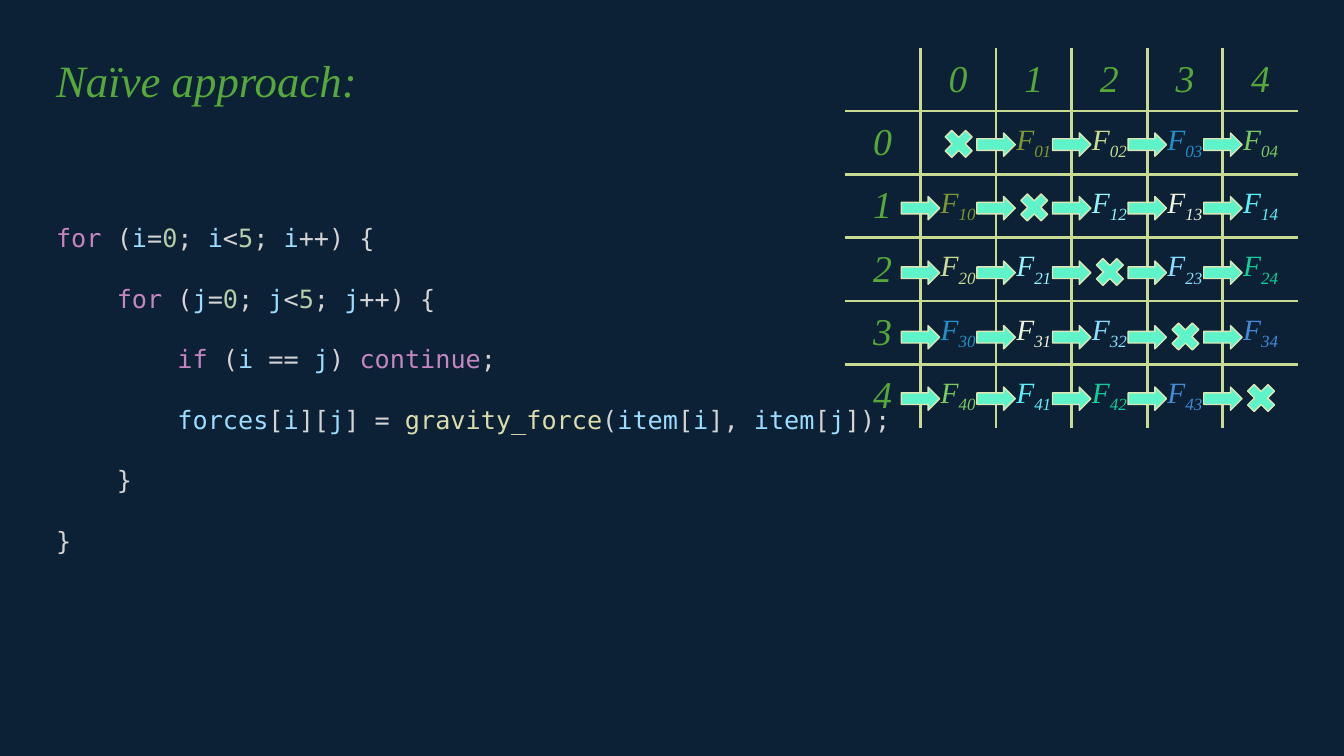
from itertools import groupby

from lxml import etree
from pptx import Presentation
from pptx.dml.color import RGBColor
from pptx.enum.shapes import MSO_SHAPE
from pptx.enum.text import MSO_ANCHOR, PP_ALIGN
from pptx.oxml.ns import qn
from pptx.util import Pt

ARROW, CROSS = MSO_SHAPE.RIGHT_ARROW, MSO_SHAPE.MATH_MULTIPLY
CENTER, MIDDLE = PP_ALIGN.CENTER, MSO_ANCHOR.MIDDLE


class Theme:
    serif, mono = "Times New Roman", "DejaVu Sans Mono"
    title_size, code_size, index_size, force_size = 32, 18, 27, 21
    background, green, grid = "0C2036", "55A839", "C9DA92"
    marker, marker_line = "5FF3CA", "DBE7B6"
    keyword, variable, number = "C586C0", "9CDCFE", "B5CEA8"
    function, punctuation = "DCDCAA", "D4D4D4"
    forces = {
        "01": "7E9632", "02": "C9DA92", "03": "2191C9", "04": "7CCA62",
        "12": "94F5FA", "13": "EDF3DB", "14": "5EF0F7",
        "23": "8ADFFF", "24": "10CF9B", "34": "448AD7",
    }


TOKEN_COLORS = {
    **dict.fromkeys(["for", "if", "continue"], Theme.keyword),
    **dict.fromkeys(["i", "j", "forces", "item"], Theme.variable),
    **dict.fromkeys(["0", "5"], Theme.number),
    "gravity_force": Theme.function,
}
CODE = """\
for (i=0; i<5; i++) {
    for (j=0; j<5; j++) {
        if (i == j) continue;
        forces[i][j] = gravity_force(item[i], item[j]);
    }
}"""


def add_run(p, text, size, color, font=Theme.serif, italic=False, baseline=0):
    r = p.add_run()
    r.text = text
    r.font.size = Pt(size)
    r.font.name = font
    r.font.italic = italic
    r.font.color.rgb = RGBColor.from_string(color)
    if baseline:
        r._r.get_or_add_rPr().set("baseline", str(baseline * 1000))


def set_border(cell, side, visible):
    ln = etree.SubElement(cell._tc.get_or_add_tcPr(), qn(f"a:ln{side}"), w=str(Pt(2.25)))
    if visible:
        fill = etree.SubElement(ln, qn("a:solidFill"))
        etree.SubElement(fill, qn("a:srgbClr"), val=Theme.grid)
    else:
        etree.SubElement(ln, qn("a:noFill"))


prs = Presentation()
prs.slide_width, prs.slide_height = Pt(960), Pt(540)
s = prs.slides.add_slide(prs.slide_layouts[6])
s.background.fill.solid()
s.background.fill.fore_color.rgb = RGBColor.from_string(Theme.background)

# Force matrix
N = 5
LAST = N
LEFT, TOP, COL, ROW = 603.4, 34, 54, 45.25
frame = s.shapes.add_table(N + 1, N + 1, Pt(LEFT), Pt(TOP), Pt(COL * (N + 1)), Pt(ROW * (N + 1)))
table = frame.table
table.first_row = table.horz_banding = False
for row in range(N + 1):
    table.rows[row].height = Pt(ROW)
    table.columns[row].width = Pt(COL)
    for col in range(N + 1):
        cell = table.cell(row, col)
        cell.vertical_anchor = MIDDLE
        cell.margin_left = cell.margin_right = Pt(5)
        cell.margin_top = cell.margin_bottom = Pt(3)
        set_border(cell, "L", col > 0)
        set_border(cell, "R", col < LAST)
        set_border(cell, "T", row > 0)
        set_border(cell, "B", row < LAST)
        cell.fill.background()
        p = cell.text_frame.paragraphs[0]
        p.alignment = CENTER
        if row == col:
            continue
        if row == 0 or col == 0:
            add_run(p, str(row + col - 1), Theme.index_size, Theme.green, italic=True)
        else:
            i, j = row - 1, col - 1
            color = Theme.forces[f"{min(i, j)}{max(i, j)}"]
            add_run(p, "F", Theme.force_size, color, italic=True)
            add_run(p, f"{i}{j}", Theme.force_size, color, italic=True, baseline=-25)

# Title
tf = s.shapes.add_textbox(Pt(33), Pt(34), Pt(447), Pt(46)).text_frame
tf.word_wrap = True
add_run(tf.paragraphs[0], "Naïve approach:", Theme.title_size, Theme.green, italic=True)

# Code, coloured word by word
tf = s.shapes.add_textbox(Pt(33), Pt(134), Pt(618), Pt(263)).text_frame
tf.word_wrap = True
for n, line in enumerate(CODE.split("\n")):
    p = tf.add_paragraph() if n else tf.paragraphs[0]
    p.line_spacing = 2.0
    for _, chars in groupby(line, key=lambda ch: ch.isalnum() or ch == "_"):
        token = "".join(chars)
        color = TOKEN_COLORS.get(token, Theme.punctuation)
        add_run(p, token, Theme.code_size, color, font=Theme.mono)

# Arrows step through each row; a cross marks the skipped diagonal
ARROW_TOPS = [95, 140.4, 186.5, 232.6, 276.5]
markers = []
for i, top in enumerate(ARROW_TOPS):
    for j in range(N):
        if (i, j) != (0, 0):
            markers.append((ARROW, 643.8 + COL * j, top, 27.4, 16.6))
    markers.append((CROSS, 670.8 + COL * i, top - 6.2, 28, 28))
for kind, left, top, width, height in markers:
    sp = s.shapes.add_shape(kind, Pt(left), Pt(top), Pt(width), Pt(height))
    sp.shadow.inherit = False
    sp.fill.solid()
    sp.fill.fore_color.rgb = RGBColor.from_string(Theme.marker)
    sp.line.color.rgb = RGBColor.from_string(Theme.marker_line)
    sp.line.width = Pt(1)

prs.save("out.pptx")
